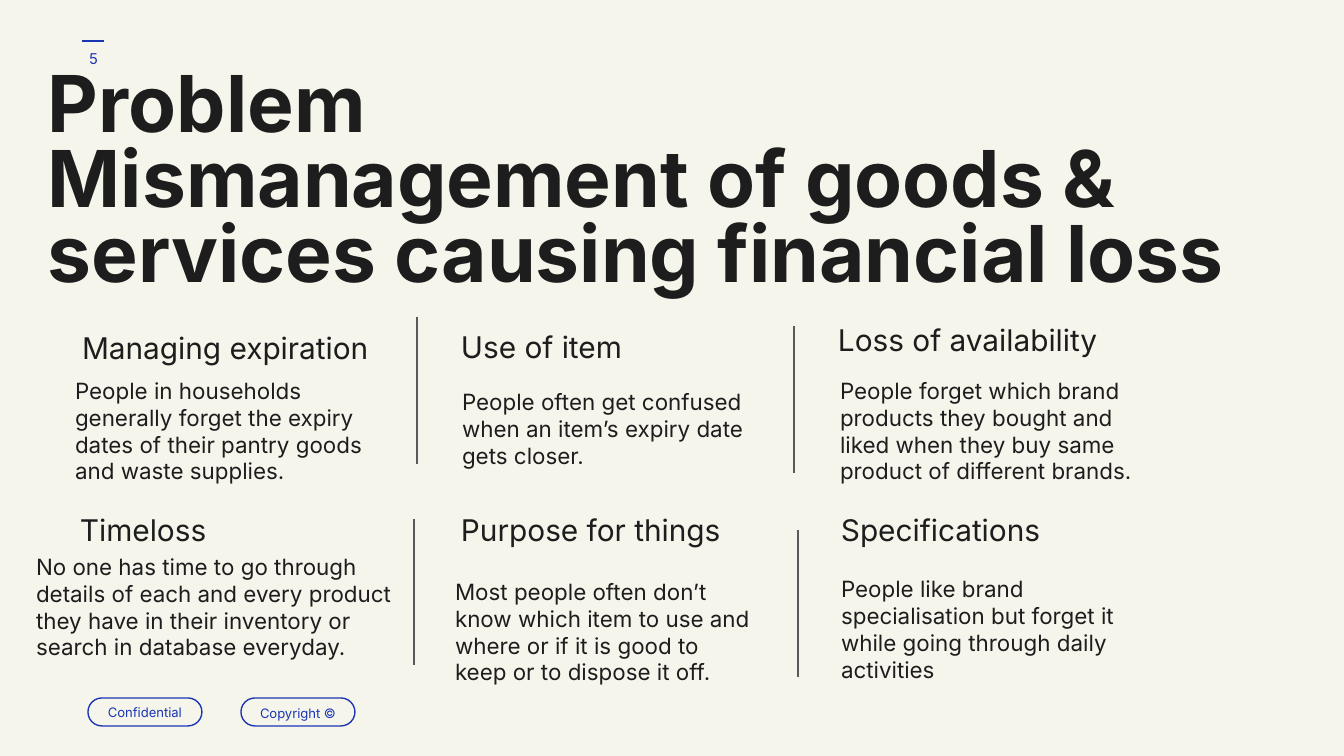
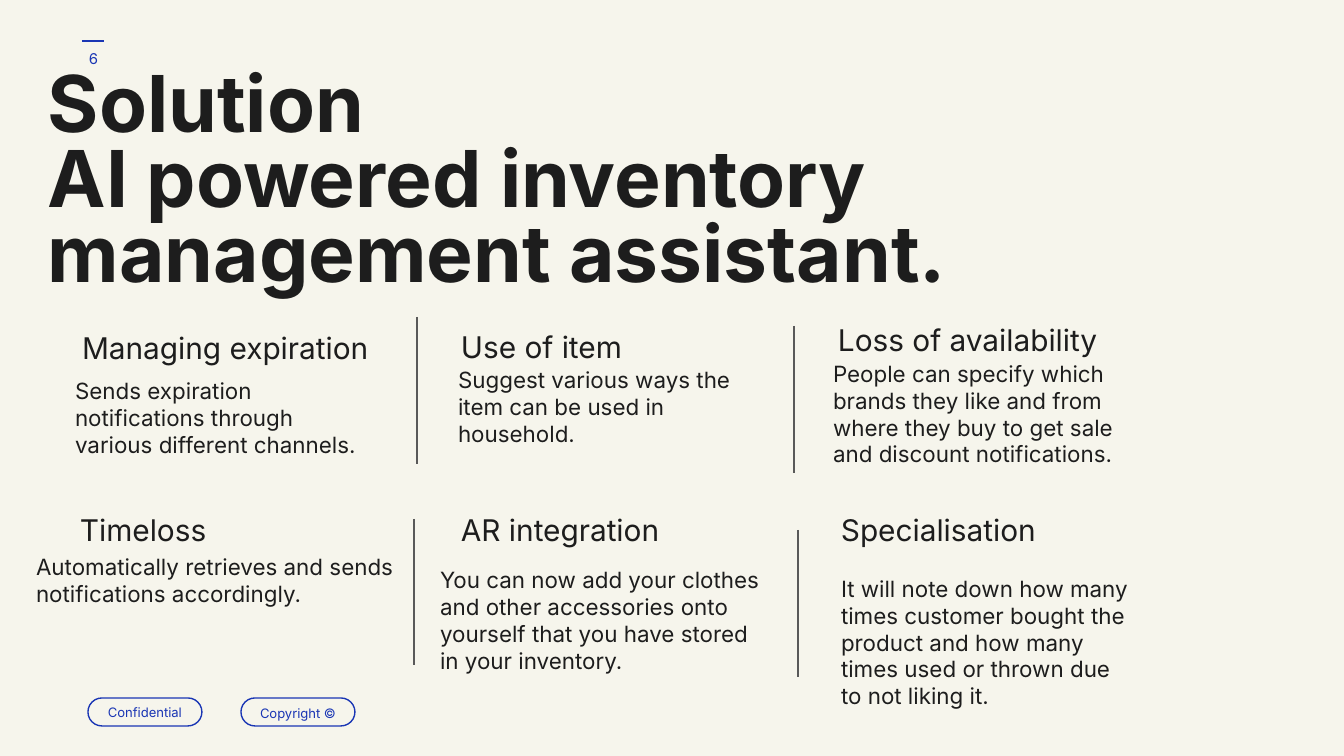
from lxml import etree
from pptx import Presentation
from pptx.dml.color import RGBColor
from pptx.enum.shapes import MSO_CONNECTOR, MSO_SHAPE
from pptx.enum.text import MSO_ANCHOR, PP_ALIGN
from pptx.oxml.ns import qn
from pptx.util import Emu, Pt

LINE = MSO_CONNECTOR.STRAIGHT
PILL = MSO_SHAPE.ROUNDED_RECTANGLE
TOP, MIDDLE = MSO_ANCHOR.TOP, MSO_ANCHOR.MIDDLE
LEFT, CENTER = PP_ALIGN.LEFT, PP_ALIGN.CENTER

SCALE = 914400 / 134.4
FONT = "Inter"
PAPER, INK, BLUE, GREY = "F6F5EC", "1D1D1D", "1A36B4", "595959"
PAD = 13

TITLE = (35, 59, 1246, 251)
NUMBER = (62, 30, 63, 58)
HEADS = [
    (69, 317, 335, 54), (448, 316, 316, 54), (825, 309, 316, 54),
    (67, 499, 316, 54), (448, 499, 316, 54), (828, 499, 316, 54),
]
RULES = [(417, 317, 464), (794, 326, 473), (414, 519, 665), (798, 530, 677)]
PILLS = [("Confidential", 1.0), ("Copyright ©", 1.15)]

SLIDES = [
    (5, "Problem\nMismanagement of goods & services causing financial loss", [
        ("Managing expiration", (62, 364, 321, 105),
         "People in households generally forget the expiry dates of their "
         "pantry goods and waste supplies."),
        ("Use of item", (449, 375, 321, 124),
         "People often get confused when an item’s expiry date gets closer."),
        ("Loss of availability", (827, 364, 321, 105),
         "People forget which brand products they bought and liked when they "
         "buy same product of different brands."),
        ("Timeloss", (23, 540, 391, 105),
         "No one has time to go through details of each and every product "
         "they have in their inventory or search in database everyday."),
        ("Purpose for things", (442, 565, 321, 105),
         "Most people often don’t know which item to use and where or if it "
         "is good to keep or to dispose it off."),
        ("Specifications", (828, 562, 321, 132),
         "People like brand specialisation but forget it while going through "
         "daily activities"),
    ]),
    (6, "Solution\nAI powered inventory management assistant.", [
        ("Managing expiration", (62, 364, 321, 105),
         "Sends expiration notifications through various different channels."),
        ("Use of item", (445, 353, 321, 105),
         "Suggest various ways the item can be used in household."),
        ("Loss of availability", (820, 347, 321, 105),
         "People can specify which brands they like and from where they buy "
         "to get sale and discount notifications."),
        ("Timeloss", (23, 540, 391, 105),
         "Automatically retrieves and sends notifications accordingly."),
        ("AR integration", (427, 553, 355, 124),
         "You can now add your clothes and other accessories onto yourself "
         "that you have stored in your inventory."),
        ("Specialisation", (828, 562, 321, 105),
         "It will note down how many times customer bought the product and "
         "how many times used or thrown due to not liking it."),
    ]),
]


def px(value):
    """Turn px into EMU."""
    return Emu(round(value * SCALE))


def color(code):
    """Turn a hex string into a colour."""
    return RGBColor.from_string(code)


def write(shape, text, size, code=INK, bold=False, align=LEFT, anchor=TOP, gap=1.0):
    """Fill a shape with styled text."""
    frame = shape.text_frame
    frame.text = text
    frame.word_wrap = True
    frame.vertical_anchor = anchor
    frame.margin_left = frame.margin_right = px(PAD)
    frame.margin_top = frame.margin_bottom = px(PAD)
    for para in frame.paragraphs:
        para.alignment = align
        para.line_spacing = gap
        for run in para.runs:
            run.font.name = FONT
            run.font.size = Pt(size)
            run.font.bold = bold
            run.font.color.rgb = color(code)


def add_text(slide, box, text, size, **style):
    """Add a text box."""
    write(slide.shapes.add_textbox(*map(px, box)), text, size, **style)


def add_line(slide, ends, code):
    """Add a thin straight line."""
    line = slide.shapes.add_connector(LINE, *map(px, ends))
    line.line.color.rgb = color(code)
    line.line.width = Pt(0.75)
    etree.SubElement(line._element.spPr, qn("a:effectLst"))


def add_pill(slide, box, text, gap):
    """Add an outlined label with round ends."""
    pill = slide.shapes.add_shape(PILL, *map(px, box))
    pill.adjustments[0] = 0.5
    pill.shadow.inherit = False
    pill.fill.background()
    pill.line.color.rgb = color(BLUE)
    pill.line.width = Pt(0.75)
    write(pill, text, 7, code=BLUE, align=CENTER, anchor=MIDDLE, gap=gap)


def add_frame(slide, number):
    """Add the background, page number, footer labels and dividers."""
    fill = slide.background.fill
    fill.solid()
    fill.fore_color.rgb = color(PAPER)
    add_line(slide, (82, 41, 104, 41), BLUE)
    add_text(slide, NUMBER, str(number), 8, code=BLUE, align=CENTER, anchor=MIDDLE)
    for i, (label, gap) in enumerate(PILLS):
        add_pill(slide, (88 + 153 * i, 698, 114, 28), label, gap)
    for x, top, end in RULES:
        add_line(slide, (x, top, x, end), GREY)


def add_topic(slide, place, head, box, body):
    """Add a heading and its paragraph."""
    add_text(slide, place, head, 16)
    add_text(slide, box, body, 12)


def main():
    """Build and save the slides."""
    deck = Presentation()
    deck.slide_width, deck.slide_height = px(1344), px(756)
    for number, title, topics in SLIDES:
        slide = deck.slides.add_slide(deck.slide_layouts[6])
        add_frame(slide, number)
        add_text(slide, TITLE, title, 42, bold=True, gap=0.8)
        for place, topic in zip(HEADS, topics):
            add_topic(slide, place, *topic)
    deck.save("out.pptx")


if __name__ == "__main__":
    main()
